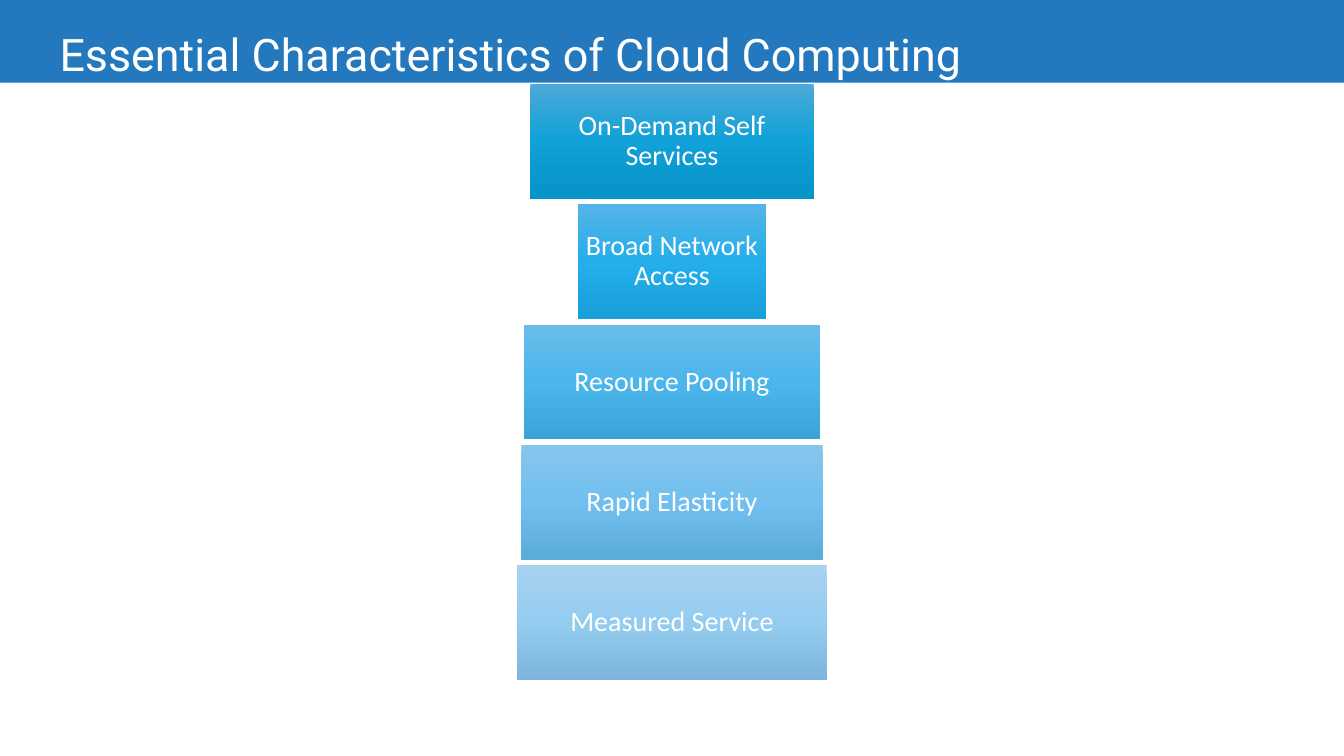
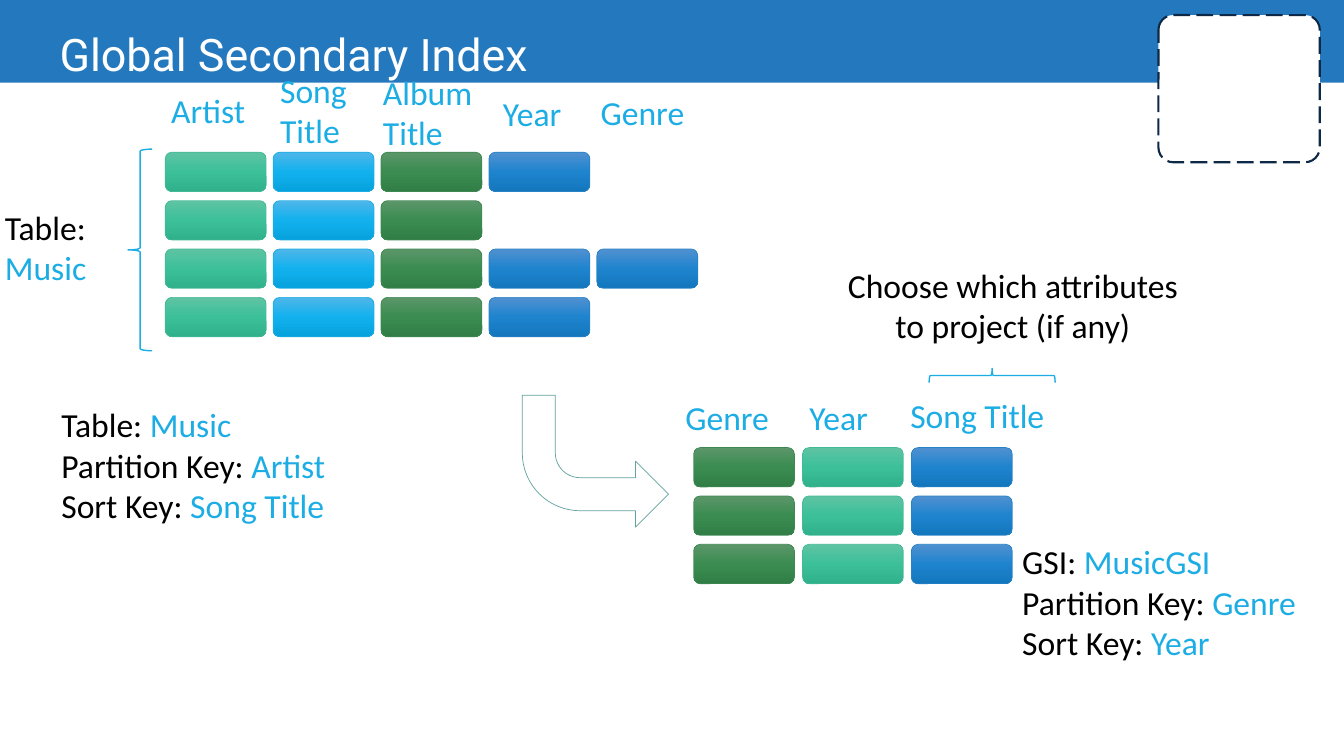
from copy import deepcopy

from pptx import Presentation
from pptx import util as u
from pptx.dml.color import RGBColor
from pptx.enum import dml, shapes, text
from pptx.oxml.ns import qn

COLORS = {
    "white": "FFFFFF",
    "black": "000000",
    "band": "2479BE",
    "cyan": "1CADE4",
    "blue": "2683C6",
    "green": "42BA97",
    "forest": "3E8853",
    "teal": "62A39F",
    "navy": "0E2847",
}
CELL_GRADIENTS = {
    "cyan": ("4FB6E9", "12B1EE", "06A2DD"),
    "blue": ("5191D0", "1E84CE", "1477BE"),
    "green": ("5FC3A3", "3CC09A", "30B08B"),
    "forest": ("5C966A", "3A8C51", "317F47"),
}
CHARACTERISTICS = [
    ("On-Demand Self Services", 2.81, ("4DA9D9", "10A1D8", "0693C8")),
    ("Broad Network Access", 1.87, ("55B4E7", "24AEEB", "169FDB")),
    ("Resource Pooling", 2.94, ("6BBCE9", "4BB6EC", "3AA4DA")),
    ("Rapid Elasticity", 2.99, ("87C6EC", "70BFEE", "5CACDA")),
    ("Measured Service", 3.07, ("A6D2F0", "94CCF0", "7EB6DB")),
]
MUSIC_COLUMNS = [
    ("green", (0, 1, 2, 3)),
    ("cyan", (0, 1, 2, 3)),
    ("forest", (0, 1, 2, 3)),
    ("blue", (0, 2, 3)),
    ("blue", (2,)),
]
INDEX_COLUMNS = [(color, (0, 1, 2)) for color in ("forest", "green", "blue")]
COLUMN_LABELS = [
    ("Artist", 1.6, 0.84, 1.06, 0.5),
    ("Song Title", 2.68, 0.64, 1.06, 0.91),
    ("Album Title", 3.7, 0.66, 1.26, 0.91),
    ("Year", 4.89, 0.87, 1.06, 0.5),
    ("Genre", 5.86, 0.86, 1.36, 0.5),
    ("Genre", 6.7, 3.89, 1.36, 0.5),
    ("Year", 7.93, 3.89, 1.06, 0.5),
    ("Song Title", 8.93, 3.87, 1.76, 0.5),
]
KEY_VALUE = ("black", "cyan")


def rgb(value):
    return RGBColor.from_string(COLORS.get(value, value))


def write(frame, content, size=24, font="Calibri", colors=("black",),
          align=text.PP_ALIGN.LEFT, spacing=None, anchor=None, inset=None):
    paragraphs = [(content,)] if isinstance(content, str) else content
    if anchor is not None:
        frame.vertical_anchor = anchor
    if inset is not None:
        frame.margin_left = frame.margin_right = u.Inches(inset)
        frame.margin_top = frame.margin_bottom = u.Inches(inset)
    for index, parts in enumerate(paragraphs):
        paragraph = frame.add_paragraph() if index else frame.paragraphs[0]
        paragraph.alignment = align
        paragraph.line_spacing = spacing
        for part, color in zip(parts, colors):
            for number, line in enumerate(part.split("\n")):
                if number:
                    paragraph.add_line_break()
                run = paragraph.add_run()
                run.text = line
                run.font.size = u.Pt(size)
                run.font.name = font
                run.font.color.rgb = rgb(color)


class Deck:
    def __init__(self):
        self.presentation = Presentation()
        self.presentation.slide_width = u.Inches(13.33)
        self.presentation.slide_height = u.Inches(7.5)
        self.layout = self.presentation.slide_layouts[5]
        self.slide = None
        title = self.layout.placeholders[0]
        title.left, title.top = u.Inches(0.49), u.Inches(0.17)
        title.width, title.height = u.Inches(11.96), u.Inches(0.79)

    def add_slide(self, title):
        first = self.slide is None
        self.slide = self.presentation.slides.add_slide(self.layout)
        if first:
            band = self.shape("RECTANGLE", 0, 0, 13.33, 0.82, fill="band")
            self.layout.placeholders[0].element.addprevious(band.element)
        write(self.slide.shapes.title.text_frame, title, size=32, font="Roboto",
              colors=("white",), spacing=0.9, anchor=text.MSO_ANCHOR.MIDDLE)

    def shape(self, kind, left, top, width, height, fill=None, line=None, weight=0.5):
        shape = self.slide.shapes.add_shape(
            getattr(shapes.MSO_SHAPE, kind),
            u.Inches(left), u.Inches(top), u.Inches(width), u.Inches(height))
        shape.shadow.inherit = False
        if fill is None:
            shape.fill.background()
        elif isinstance(fill, tuple):
            self.shade(shape, fill)
        else:
            shape.fill.solid()
            shape.fill.fore_color.rgb = rgb(fill)
        if line is None:
            shape.line.fill.background()
        else:
            shape.line.color.rgb = rgb(line)
            shape.line.width = u.Pt(weight)
        return shape

    def shade(self, shape, colors):
        shape.fill.gradient()
        shape.fill.gradient_angle = 270
        first_stop = shape.element.spPr.find(".//" + qn("a:gs"))
        first_stop.addnext(deepcopy(first_stop))
        for index, (stop, color) in enumerate(zip(shape.fill.gradient_stops, colors)):
            stop.position = index / 2
            stop.color.rgb = rgb(color)

    def label(self, content, left, top, width, height, wrap=True, **style):
        box = self.slide.shapes.add_textbox(
            u.Inches(left), u.Inches(top), u.Inches(width), u.Inches(height))
        box.text_frame.word_wrap = wrap
        box.text_frame.auto_size = text.MSO_AUTO_SIZE.SHAPE_TO_FIT_TEXT
        write(box.text_frame, content, **style)

    def cell_grid(self, columns, left, top, column_step, row_step=0.48):
        for index, (color, rows) in enumerate(columns):
            for row in rows:
                self.shape("ROUNDED_RECTANGLE", left + index * column_step,
                           top + row * row_step, 1, 0.39,
                           fill=CELL_GRADIENTS[color], line=color)


def build_characteristics(deck):
    deck.add_slide("Essential Characteristics of Cloud Computing")
    for index, (name, width, gradient) in enumerate(CHARACTERISTICS):
        bar = deck.shape("RECTANGLE", (13.33 - width) / 2, 0.83 + index * 1.195,
                         width, 1.14, fill=gradient)
        write(bar.text_frame, name, size=20, colors=("white",), spacing=0.9,
              align=text.PP_ALIGN.CENTER, anchor=text.MSO_ANCHOR.MIDDLE, inset=0.06)


def build_secondary_index(deck):
    deck.add_slide("Global Secondary Index")
    projection_brace = deck.shape("RIGHT_BRACE", 9.77, 3.1, 0.14, 1.25,
                                  line="cyan", weight=1)
    projection_brace.rotation = 270
    deck.label("Choose which attributes\nto project (if any)", 8.12, 2.58, 3.85, 0.91,
               align=text.PP_ALIGN.CENTER)

    deck.cell_grid(MUSIC_COLUMNS, 1.64, 1.51, 1.07)
    deck.cell_grid(INDEX_COLUMNS, 6.88, 4.44, 1.08)
    deck.shape("LEFT_BRACE", 1.27, 1.48, 0.24, 2, line="cyan", weight=1)
    for name, *place in COLUMN_LABELS:
        deck.label(name, *place, colors=("cyan",))

    arrow = deck.shape("BENT_ARROW", 5.18, 3.92, 1.45, 1.31, line="teal")
    arrow.rotation = 180
    arrow.element.spPr.find(qn("a:xfrm")).set("flipH", "1")

    frame = deck.shape("ROUNDED_RECTANGLE", 11.49, 0.15, 1.6, 1.46,
                       fill="white", line="navy", weight=1.5)
    frame.adjustments[0] = 0.1
    frame.line.dash_style = dml.MSO_LINE.LONG_DASH

    deck.label([("Table:", " Music")], -0.05, 2, 1.69, 0.91, colors=KEY_VALUE)
    deck.label([("Table:", " Music"), ("Partition Key:", " Artist"),
                ("Sort Key:", " Song Title")],
               0.51, 3.96, 2.85, 1.31, wrap=False, colors=KEY_VALUE)
    deck.label([("GSI:", " MusicGSI"), ("Partition Key:", " Genre"),
                ("Sort Key:", " Year")],
               10.04, 5.32, 2.95, 1.31, wrap=False, colors=KEY_VALUE)


def main():
    deck = Deck()
    build_characteristics(deck)
    build_secondary_index(deck)
    deck.presentation.save("out.pptx")


if __name__ == "__main__":
    main()
